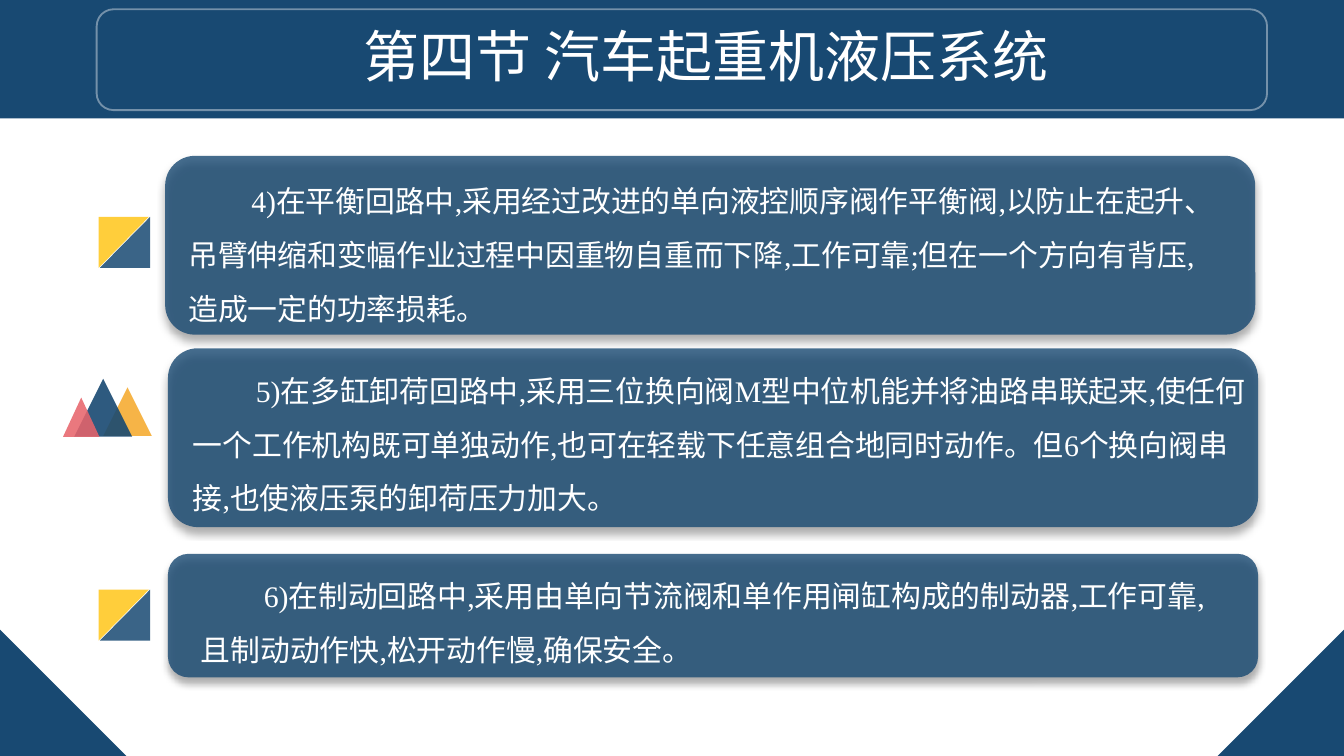
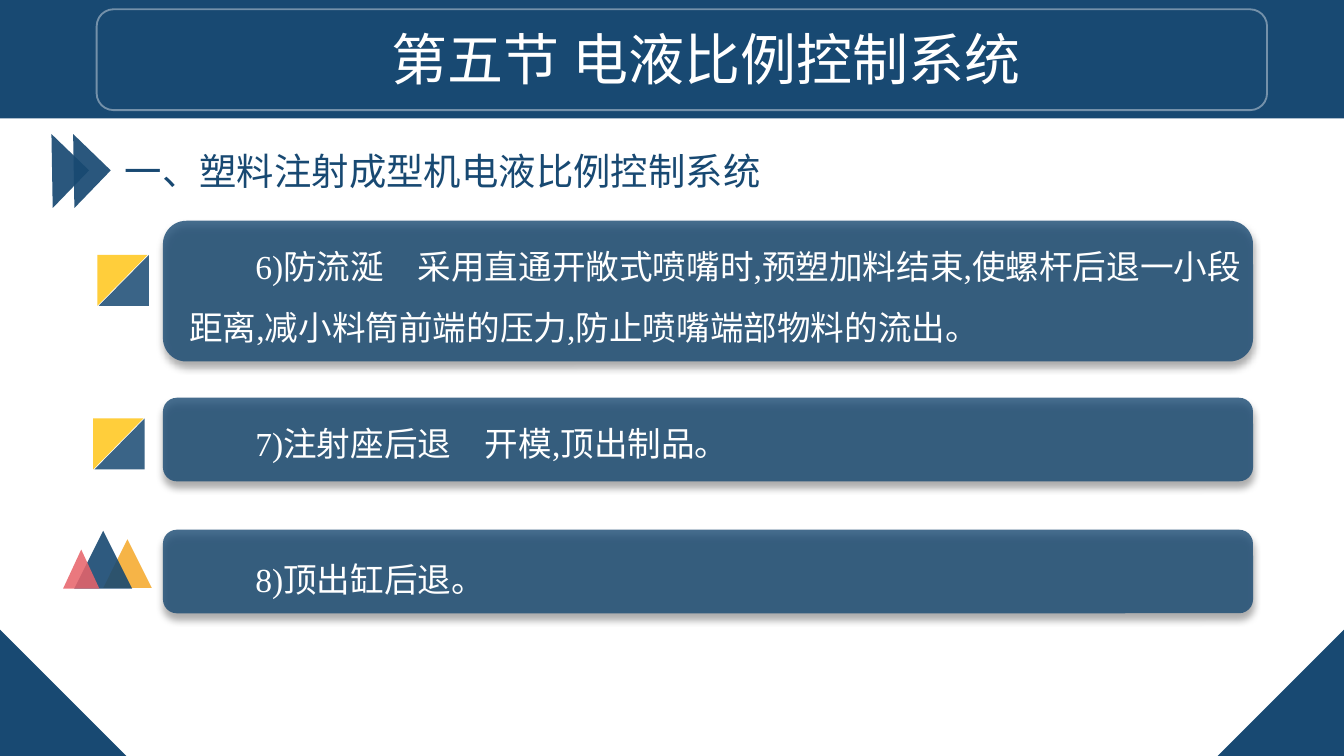
from lxml import etree
from pptx import Presentation
from pptx.dml.color import RGBColor
from pptx.enum.lang import MSO_LANGUAGE_ID
from pptx.enum.shapes import MSO_SHAPE
from pptx.enum.text import MSO_ANCHOR, MSO_AUTO_SIZE, PP_ALIGN
from pptx.oxml.ns import qn
from pptx.util import Pt

RECT = MSO_SHAPE.RECTANGLE
ROUNDED = MSO_SHAPE.ROUNDED_RECTANGLE
TRIANGLE = MSO_SHAPE.ISOSCELES_TRIANGLE
RIGHT_TRIANGLE = MSO_SHAPE.RIGHT_TRIANGLE
CHINESE = MSO_LANGUAGE_ID.SIMPLIFIED_CHINESE
TOP = MSO_ANCHOR.TOP
CENTER = PP_ALIGN.CENTER
LEFT = PP_ALIGN.LEFT
FIT_SHAPE = MSO_AUTO_SIZE.SHAPE_TO_FIT_TEXT
NO_FIT = MSO_AUTO_SIZE.NONE

NAVY = RGBColor(0x18, 0x49, 0x72)
WHITE = RGBColor(0xFF, 0xFF, 0xFF)
BLACK = RGBColor(0x00, 0x00, 0x00)
YELLOW = RGBColor(0xFF, 0xC0, 0x00)
ORANGE = RGBColor(0xF4, 0x9F, 0x14)
RED = RGBColor(0xE8, 0x64, 0x6B)

FONT = "Times New Roman"
WIDTH, HEIGHT = 720, 405
BAND_HEIGHT = 63.4
CORNER = 67.7
CARD_WIDTH = 584
CHEVRON = 28
PEAKS = [
    (21.5, 4.5, 26, 26, ORANGE, 78),
    (6, 0, 31, 31, NAVY, 90),
    (0, 10, 19.5, 21, RED, 87),
]

SECTIONS = [
    {
        "title": "第四节 汽车起重机液压系统",
        "title_box": (77.8, 7.9, 601, 44),
        "heading": None,
        "size": 16,
        "indent": 33.8,
        "points": [
            {"text": "4)在平衡回路中,采用经过改进的单向液控顺序阀作平衡阀,以防止在起升、吊臂伸缩和变幅作业过程中因重物自重而下降,工作可靠;但在一个方向有背压,造成一定的功率损耗。",
             "card": (88.5, 83.5, 95.8), "box": (93.8, 85, 568, 90.7),
             "wrap": True, "icon": ("square", 52.6, 116.4)},
            {"text": "5)在多缸卸荷回路中,采用三位换向阀M型中位机能并将油路串联起来,使任何一个工作机构既可单独动作,也可在轻载下任意组合地同时动作。但6个换向阀串接,也使液压泵的卸荷压力加大。",
             "card": (90, 186.6, 95.8), "box": (96.2, 186.5, 578.2, 90.7),
             "wrap": True, "icon": ("peaks", 33.8, 203)},
            {"text": "6)在制动回路中,采用由单向节流阀和单作用闸缸构成的制动器,工作可靠,且制动动作快,松开动作慢,确保安全。",
             "card": (90, 296.7, 66.2), "box": (100.5, 296.6, 561, 62),
             "wrap": True, "icon": ("square", 52.6, 316.1)},
        ],
    },
    {
        "title": "第五节 电液比例控制系统",
        "title_box": (77.8, 9.4, 601, 80),
        "heading": "一、塑料注射成型机电液比例控制系统",
        "size": 18,
        "indent": 35.4,
        "points": [
            {"text": "6)防流涎　采用直通开敞式喷嘴时,预塑加料结束,使螺杆后退一小段距离,减小料筒前端的压力,防止喷嘴端部物料的流出。",
             "card": (87.3, 118.3, 75.4), "box": (94.3, 117.4, CARD_WIDTH, 68.4),
             "wrap": True, "icon": ("square", 51.9, 136.8)},
            {"text": "7)注射座后退　开模,顶出制品。",
             "card": (87.3, 213.1, 44.8), "box": (94.3, 212.4, 306, 36),
             "wrap": False, "icon": ("square", 49.7, 224.4)},
            {"text": "8)顶出缸后退。",
             "card": (87.3, 283.8, 44.8), "box": (94.3, 285.1, 174.2, 36),
             "wrap": False, "icon": ("peaks", 33.8, 284.4)},
        ],
    },
]


def set_alpha(color_parent, percent):
    color = next(color_parent.iter(qn("a:srgbClr")))
    etree.SubElement(color, qn("a:alpha")).set("val", str(percent * 1000))


def draw(shapes, kind, box, color, alpha=100, rotation=0):
    part = shapes.add_shape(kind, *map(Pt, box))
    part.shadow.inherit = False
    part.line.fill.background()
    part.fill.solid()
    part.fill.fore_color.rgb = color
    part.rotation = rotation
    if alpha < 100:
        set_alpha(part.fill._xPr.find(qn("a:solidFill")), alpha)
    return part


def write(holder, text, size, color, align=LEFT, spacing=1.0, indent=0,
          wrap=True, fit=FIT_SHAPE):
    frame = holder.text_frame
    frame.text = text
    frame.word_wrap = wrap
    frame.auto_size = fit
    frame.vertical_anchor = TOP
    paragraph = frame.paragraphs[0]
    paragraph.alignment = align
    paragraph.line_spacing = spacing
    if indent:
        paragraph._p.get_or_add_pPr().set("indent", str(Pt(indent)))
    paragraph.font.name = FONT
    paragraph.font.size = Pt(size)
    paragraph.font.color.rgb = color
    paragraph.runs[0].font.language_id = CHINESE


def add_frame(slide, section):
    shapes = slide.shapes
    draw(shapes, RECT, (0, 0, WIDTH, BAND_HEIGHT), NAVY)
    corner_top = HEIGHT - CORNER
    for left, rotation in ((0, 0), (WIDTH - CORNER, 270)):
        draw(shapes, RIGHT_TRIANGLE, (left, corner_top, CORNER, CORNER), NAVY,
             rotation=rotation)
    border = draw(shapes, ROUNDED, (51.8, 5, 627, 54), WHITE)
    border.fill.background()
    border.line.color.rgb = WHITE
    border.line.width = Pt(1)
    set_alpha(border.line._ln, 40)
    title = shapes.title
    title.left, title.top, title.width, title.height = map(Pt, section["title_box"])
    write(title, section["title"], 30, WHITE, CENTER, fit=NO_FIT)
    shapes._spTree.append(title._element)


def add_heading(slide, text):
    for left in (13.9, 25.5):
        draw(slide.shapes, RIGHT_TRIANGLE, (left, 77.6, CHEVRON, CHEVRON), NAVY,
             92, 224)
    heading = slide.shapes.add_textbox(Pt(59.8), Pt(75.6), Pt(548), Pt(31.5))
    write(heading, text, 20, NAVY)


def add_card(slide, left, top, height):
    card = draw(slide.shapes, ROUNDED, (left, top, CARD_WIDTH, height), NAVY, 80)
    effects = card._element.spPr.find(qn("a:effectLst"))
    shadow = etree.SubElement(effects, qn("a:outerShdw"), blurRad=str(Pt(4)),
                              dist=str(Pt(3)), dir="5400000", rotWithShape="0")
    etree.SubElement(shadow, qn("a:srgbClr"), val=str(BLACK))
    set_alpha(shadow, 40)


def add_icon(slide, kind, left, top):
    shapes = slide.shapes.add_group_shape().shapes
    if kind == "peaks":
        for dx, dy, width, height, color, alpha in PEAKS:
            draw(shapes, TRIANGLE, (left + dx, top + dy, width, height), color, alpha)
    else:
        for dx, color, alpha, rotation in ((0.7, NAVY, 85, 270), (0, YELLOW, 77, 90)):
            half = draw(shapes, TRIANGLE, (left + dx, top, 27.3, 26.9), color, alpha,
                        rotation)
            half.adjustments[0] = 0


def add_section(deck, section):
    slide = deck.slides.add_slide(deck.slide_layouts[5])
    add_frame(slide, section)
    if section["heading"]:
        add_heading(slide, section["heading"])
    for point in section["points"]:
        add_card(slide, *point["card"])
        add_icon(slide, *point["icon"])
        body = slide.shapes.add_textbox(*map(Pt, point["box"]))
        write(body, point["text"], section["size"], WHITE, spacing=1.5,
              indent=section["indent"], wrap=point["wrap"])


def main():
    deck = Presentation()
    deck.slide_width, deck.slide_height = Pt(WIDTH), Pt(HEIGHT)
    for section in SECTIONS:
        add_section(deck, section)
    deck.save("out.pptx")


if __name__ == "__main__":
    main()
